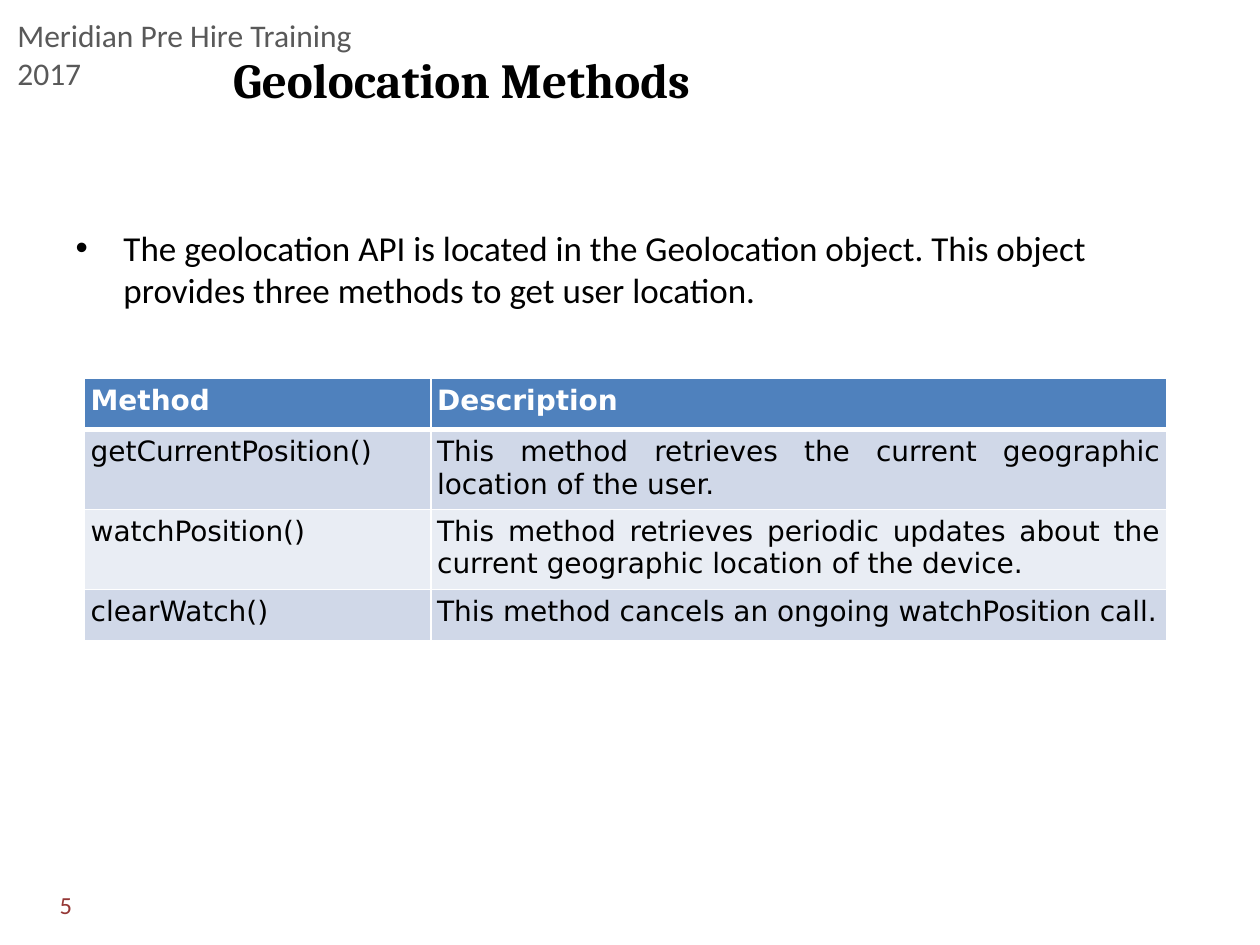
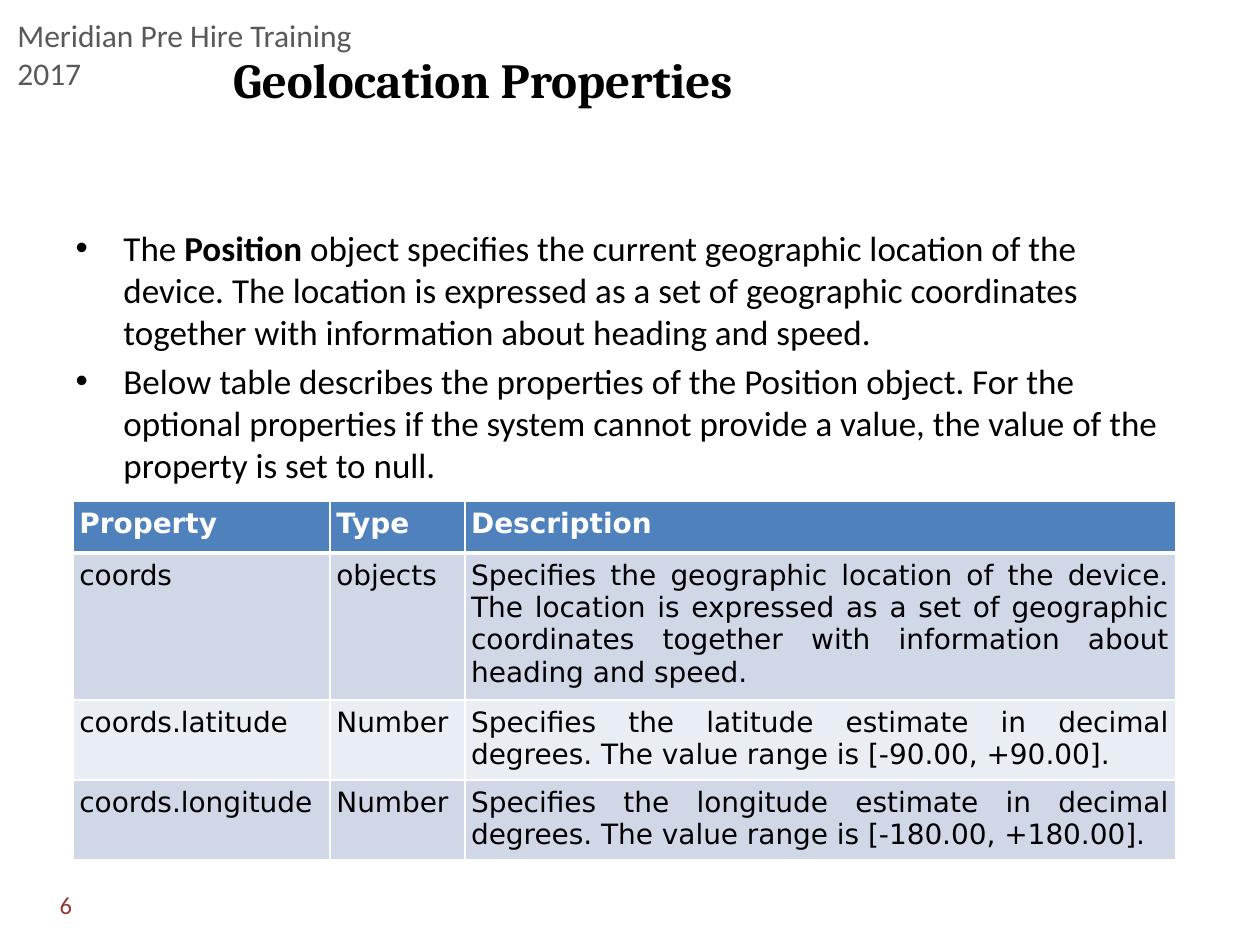
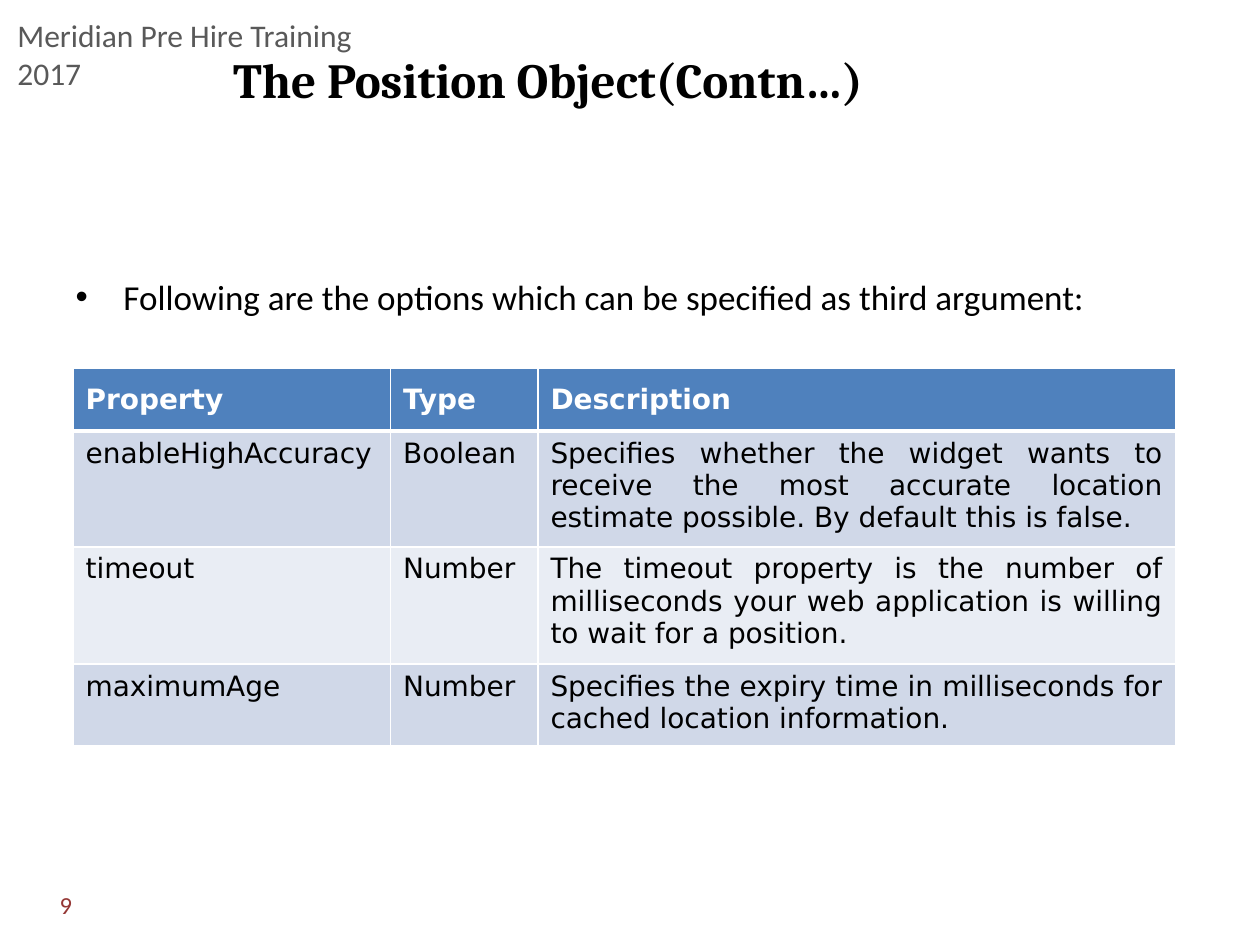
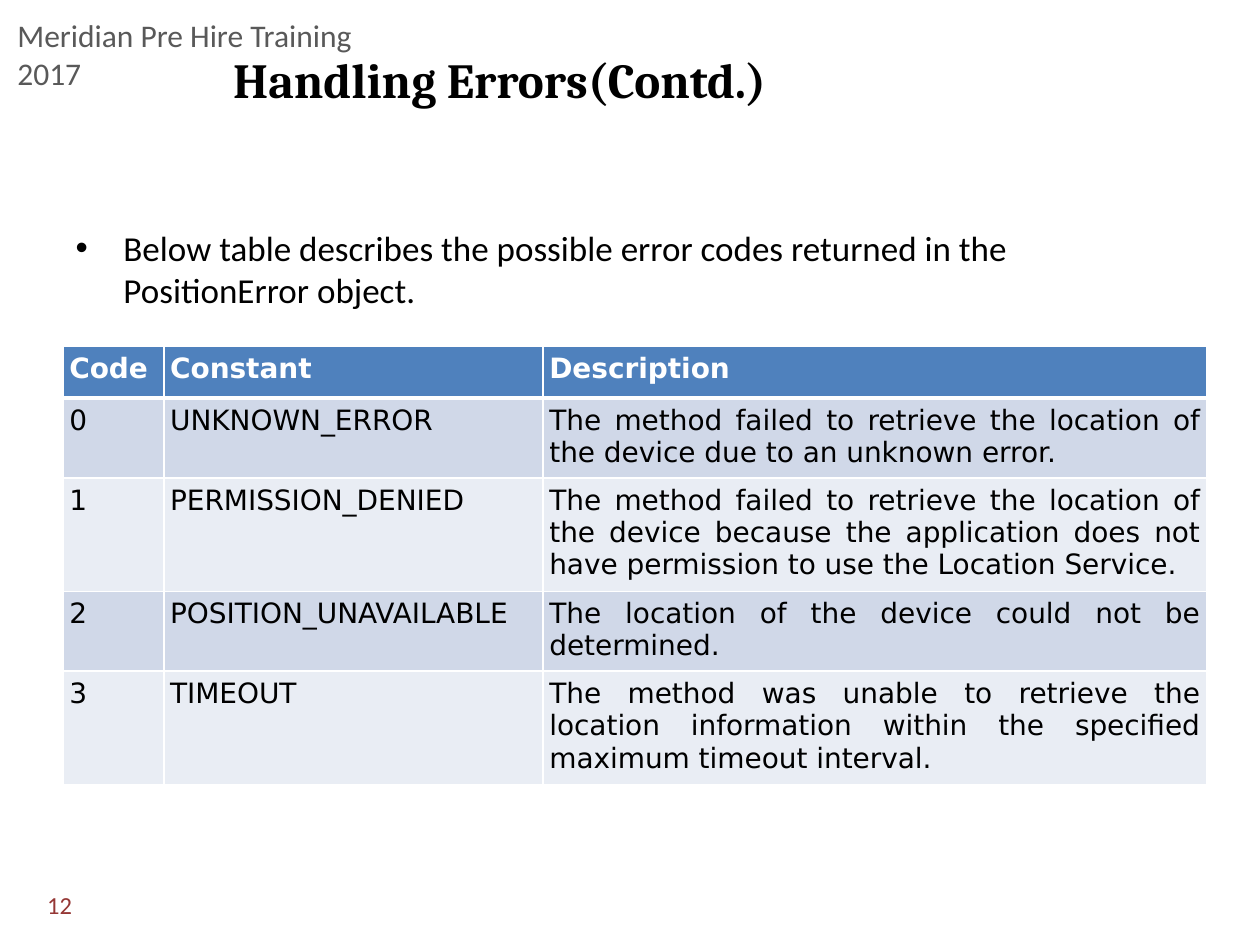
from pptx import Presentation
from pptx.dml.color import RGBColor
from pptx.enum.text import MSO_ANCHOR, MSO_AUTO_SIZE, PP_ALIGN
from pptx.oxml.ns import qn
from pptx.util import Inches, Pt
from lxml.etree import SubElement

HEADER = "Meridian Pre Hire Training 2017"
BLACK, WHITE, GRAY, RED = "000000", "FFFFFF", "595959", "953735"
HEAD_FILL = "4F81BD"
BAND_FILLS = ("D0D8E8", "E9EDF4")
TEXT_FONT, TITLE_FONT, TABLE_FONT = "Calibri", "Cambria", "DejaVu Sans"
ROW_HEIGHT = 0.41
TIGHT, WIDE = (0.05, 0.05), (0.1, 0.05)  # side and top cell margins


def color(hex_string):
    """Turn a hex string into a colour."""
    return RGBColor.from_string(hex_string)


def write_text(para, text, size=20, font=TEXT_FONT, fill=BLACK, bold=False, align=None):
    """Add one formatted span to a paragraph."""
    span = para.add_run()
    span.text = text
    span.font.size = Pt(size)
    span.font.name = font
    span.font.bold = bold
    span.font.color.rgb = color(fill)
    if align is not None:
        para.alignment = align


def place(shape, left, top, width, height):
    """Move and size a shape, in inches."""
    shape.left, shape.top = Inches(left), Inches(top)
    shape.width, shape.height = Inches(width), Inches(height)


def add_header(page, layout):
    """Put the training header on the layout that all slides share."""
    box = page.shapes.add_textbox(Inches(0.04), Inches(0.08), Inches(3.34), Inches(0.4))
    box.text_frame.word_wrap = False
    box.text_frame.auto_size = MSO_AUTO_SIZE.SHAPE_TO_FIT_TEXT
    write_text(box.text_frame.paragraphs[0], HEADER, size=18, fill=GRAY)
    layout.shapes.element.append(box.element)


def add_title(page, text):
    """Fill the title placeholder."""
    title = page.shapes.title
    place(title, 1.75, 0, 8.25, 1.25)
    frame = title.text_frame
    frame.vertical_anchor = MSO_ANCHOR.MIDDLE
    frame.auto_size = MSO_AUTO_SIZE.NONE
    write_text(frame.paragraphs[0], text, size=28, font=TITLE_FONT, bold=True,
               align=PP_ALIGN.LEFT)


def add_bullets(page, bullets, top_margin=0.05):
    """Fill the body placeholder; a bullet is a list of (text, bold) spans."""
    body = page.placeholders[1]
    place(body, 0.5, 1.75, 9, 4.95)
    frame = body.text_frame
    frame.auto_size = MSO_AUTO_SIZE.NONE
    frame.margin_top = Inches(top_margin)
    for index, spans in enumerate(bullets):
        para = frame.add_paragraph() if index else frame.paragraphs[0]
        para.space_before = Pt(4)
        properties = para._p.get_or_add_pPr()
        properties.set("marL", str(Inches(0.38)))
        properties.set("indent", str(-Inches(0.38)))
        for text, bold in spans:
            write_text(para, text, bold=bold)


def add_page_number(page, number):
    """Write the page number at the lower left."""
    box = page.shapes.add_textbox(Inches(0.17), Inches(7.03), Inches(0.5), Inches(0.3))
    frame = box.text_frame
    frame.word_wrap = True
    frame.vertical_anchor = MSO_ANCHOR.MIDDLE
    write_text(frame.paragraphs[0], str(number), size=14, fill=RED, align=PP_ALIGN.RIGHT)


def set_borders(cell, top, bottom):
    """Draw white cell borders; top and bottom are widths in points."""
    properties = cell._tc.get_or_add_tcPr()
    for side, width in (("L", 1), ("R", 1), ("T", top), ("B", bottom)):
        line = SubElement(properties, qn(f"a:ln{side}"), w=str(Pt(width)))
        fill = SubElement(line, qn("a:solidFill"))
        SubElement(fill, qn("a:srgbClr"), val=WHITE)


def add_grid(page, left, top, widths, rows, heights=None, margins=TIGHT,
             head_anchor=MSO_ANCHOR.TOP):
    """Add a banded table whose first row is the heading."""
    heights = heights or [ROW_HEIGHT] * len(rows)
    table = page.shapes.add_table(
        len(rows), len(widths), Inches(left), Inches(top),
        Inches(sum(widths)), Inches(sum(heights))).table
    for column, width in zip(table.columns, widths):
        column.width = Inches(width)
    for r, (values, height) in enumerate(zip(rows, heights)):
        table.rows[r].height = Inches(height)
        head = r == 0
        for c, value in enumerate(values):
            cell = table.cell(r, c)
            cell.margin_left = cell.margin_right = Inches(margins[0])
            cell.margin_top = cell.margin_bottom = Inches(margins[1])
            cell.vertical_anchor = head_anchor if head else MSO_ANCHOR.TOP
            set_borders(cell, top=3 if r == 1 else 1, bottom=3 if head else 1)
            cell.fill.solid()
            cell.fill.fore_color.rgb = color(HEAD_FILL if head else BAND_FILLS[(r - 1) % 2])
            justified = not head and c == len(widths) - 1
            write_text(cell.text_frame.paragraphs[0], value, size=16, font=TABLE_FONT,
                       fill=WHITE if head else BLACK, bold=head,
                       align=PP_ALIGN.JUSTIFY if justified else PP_ALIGN.LEFT)


def add_page(deck, number, title, bullets, top_margin=0.05):
    """Add a slide with title, bullets and page number."""
    page = deck.slides.add_slide(deck.slide_layouts[1])
    add_bullets(page, bullets, top_margin)
    add_title(page, title)
    add_page_number(page, number)
    return page


def main():
    """Build the deck."""
    deck = Presentation()
    deck.slide_width, deck.slide_height = Inches(10), Inches(7.5)

    methods = add_page(deck, 5, "Geolocation Methods", [
        [("The geolocation API is located in the\u00a0Geolocation\u00a0object. "
          "This object provides three methods to get user location.", False)]])
    add_header(methods, deck.slide_layouts[1])
    add_grid(methods, 0.67, 3, [2.75, 5.84], [
        ("Method", "Description"),
        ("getCurrentPosition()",
         "This method retrieves the current geographic location of the user."),
        ("watchPosition()",
         "This method retrieves periodic updates about the current geographic "
         "location of the device."),
        ("clearWatch()", "This method cancels an ongoing watchPosition call."),
    ])

    properties = add_page(deck, 6, "Geolocation Properties", [
        [("The\u00a0", False), ("Position", True),
         ("\u00a0object specifies the current geographic location of the device. "
          "The location is expressed as a set of geographic coordinates together "
          "with information about heading and speed.", False)],
        [("Below table describes the properties of the Position object. For the "
          "optional properties if the system cannot provide a value, the value of "
          "the property is set to null.", False)]])
    add_grid(properties, 0.58, 3.98, [2.04, 1.07, 5.64], [
        ("Property", "Type", "Description"),
        ("coords", "objects",
         "Specifies the geographic location of the device. The location is expressed "
         "as a set of geographic coordinates together with information about heading "
         "and speed."),
        ("coords.latitude", "Number",
         "Specifies the latitude estimate in decimal degrees. "
         "The value range is [-90.00, +90.00]."),
        ("coords.longitude", "Number",
         "Specifies the longitude estimate in decimal degrees. "
         "The value range is [-180.00, +180.00]."),
    ])

    options = add_page(deck, 9, "The Position Object(Contn\u2026)", [
        [("Following are the options which can be specified as third argument:", False)],
    ], top_margin=0.44)
    add_grid(options, 0.58, 2.92, [2.52, 1.17, 5.06], [
        ("Property", "Type", "Description"),
        ("enableHighAccuracy", "Boolean",
         "Specifies whether the widget wants to receive the most accurate location "
         "estimate possible. By default this is false."),
        ("timeout", "Number",
         "The timeout property is the number of milliseconds your web application is "
         "willing to wait for a position."),
        ("maximumAge", "Number",
         "Specifies the expiry time in milliseconds for cached location information."),
    ], heights=[0.5, 0.92, 0.93, 0.65], margins=WIDE, head_anchor=MSO_ANCHOR.MIDDLE)

    errors = add_page(deck, 12, "Handling Errors(Contd.)", [
        [("Below table describes the possible error codes returned in the "
          "PositionError object.", False)]])
    add_grid(errors, 0.5, 2.75, [0.8, 3.01, 5.27], [
        ("Code", "Constant", "Description"),
        ("0", "UNKNOWN_ERROR",
         "The method failed to retrieve the location of the device due to an "
         "unknown error."),
        ("1", "PERMISSION_DENIED",
         "The method failed to retrieve the location of the device because the "
         "application does not have permission to use the Location Service."),
        ("2", "POSITION_UNAVAILABLE",
         "The location of the device could not be determined."),
        ("3", "TIMEOUT",
         "The method was unable to retrieve the location information within the "
         "specified maximum timeout interval."),
    ])

    deck.save("out.pptx")


main()
